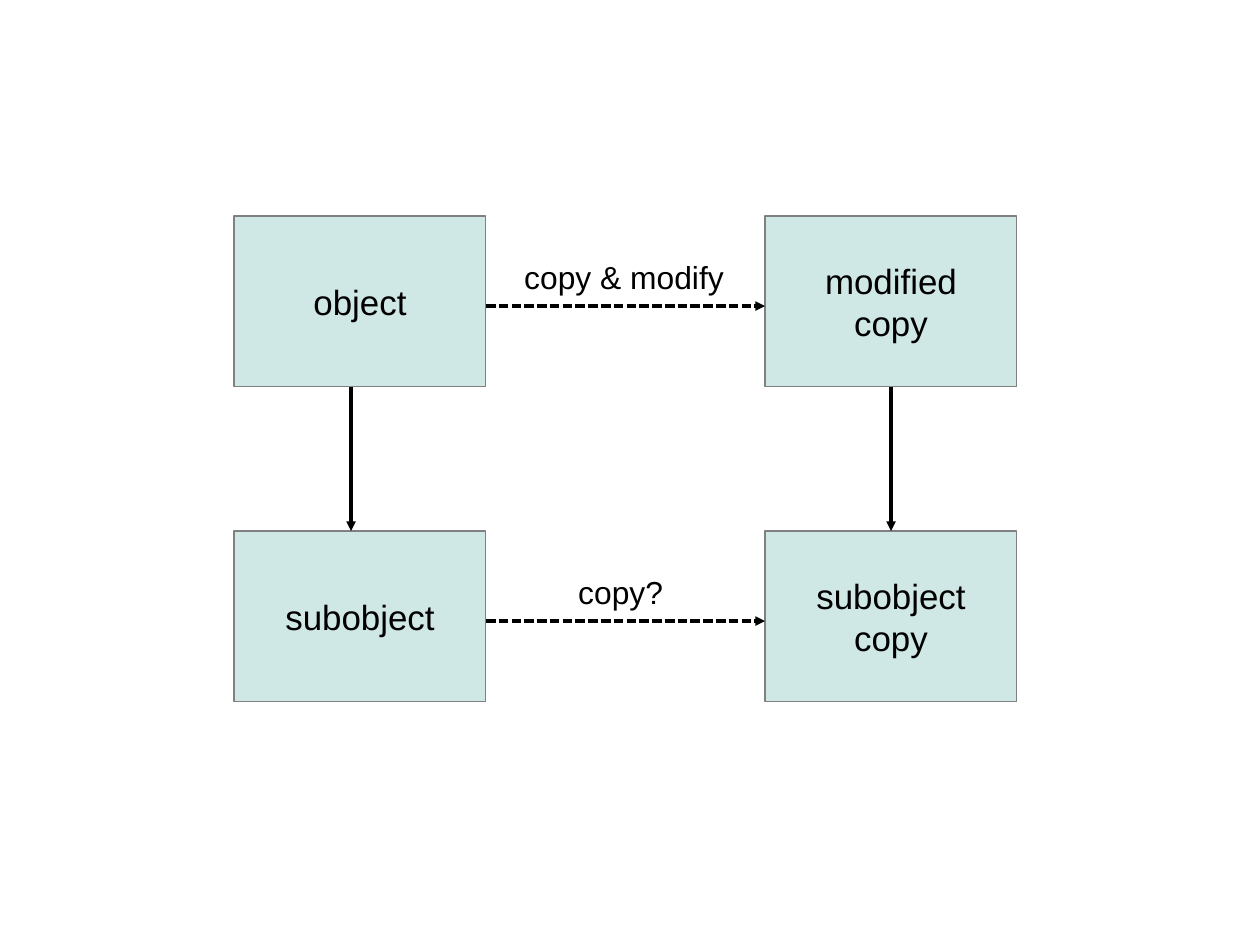
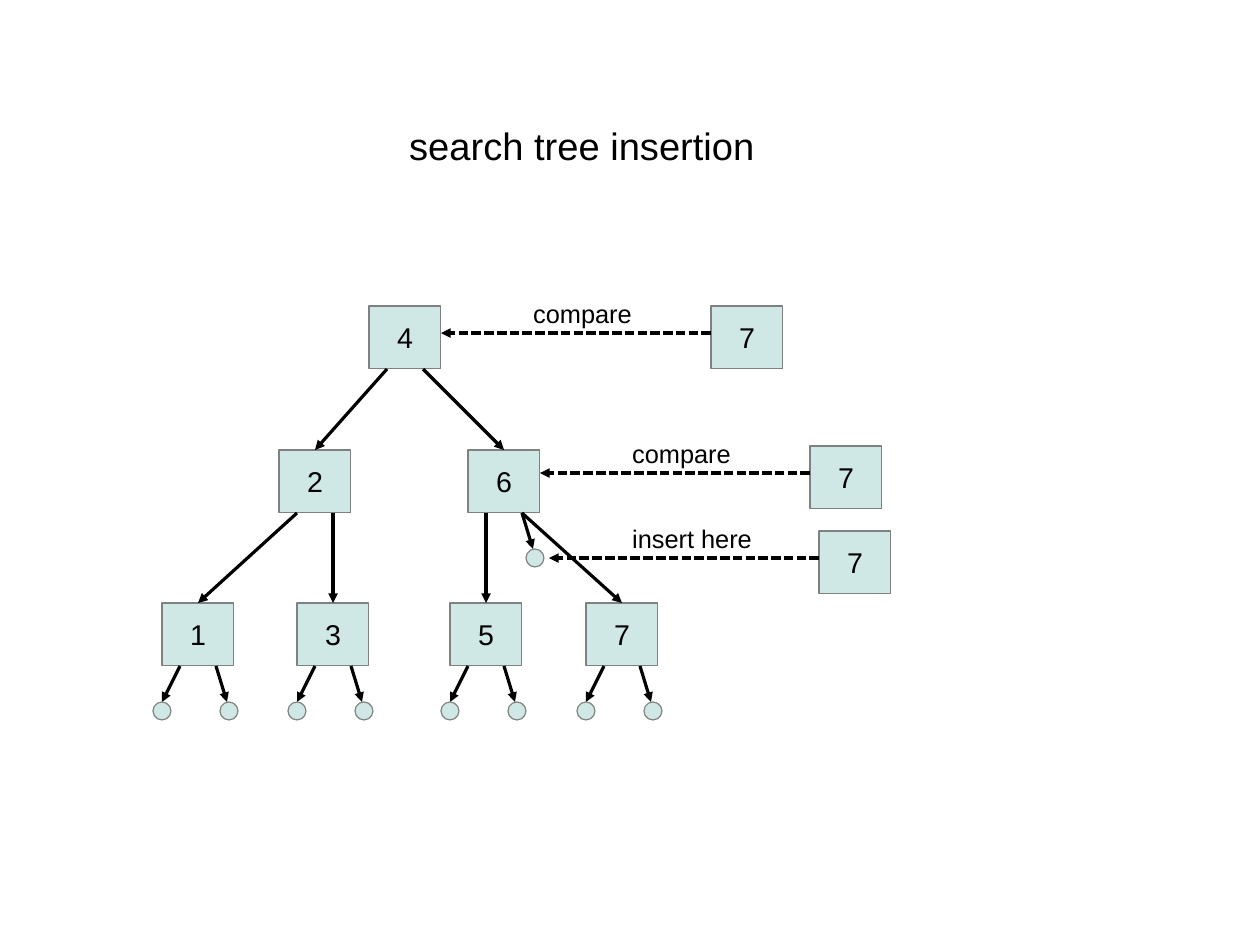
import dataclasses

import pptx
import pptx.dml.color
import pptx.enum.dml
import pptx.enum.shapes
import pptx.enum.text
import pptx.oxml
import pptx.oxml.ns
import pptx.util

PX = 8000  # EMU in one px
SHAPE = pptx.enum.shapes.MSO_SHAPE
ALIGN = pptx.enum.text.PP_ALIGN
ANCHOR = pptx.enum.text.MSO_ANCHOR


@dataclasses.dataclass(frozen=True)
class Theme:
    font: str = "Arial"
    fill: str = "CFE7E5"
    edge: str = "808080"
    ink: str = "000000"
    title: int = 24
    object: int = 22
    step: int = 20
    node: int = 18
    note: int = 16


THEME = Theme()
PAGE = (1260, 945)

# Copy diagram: each row is left box, right box, arrow label, label left, width
COPY = [
    ("object", "modified\ncopy", "copy & modify", 513, 225),
    ("subobject", "subobject\ncopy", "copy?", 567, 110),
]
COLS, ROWS = (234, 765), (216, 531)
BOX = (252, 171)
DROPS = (351, 891)  # x of the downward arrows

# Search tree: place of each node, then its left and right child
TITLE = ("search tree insertion", 398, 117, 514, 54)
NODES = {
    "4": (369, 306), "2": (279, 450), "6": (468, 450),
    "1": (162, 603), "3": (297, 603), "5": (450, 603), "7": (586, 603),
}
KIDS = {"4": "26", "2": "13", "6": "57"}
NODE = (72, 63)
PORTS = (18, 54)  # where edges leave a node, from its left side
TIPS = (0, 65)  # where leaf edges end
DOTS = (-9, 58)  # left side of the leaves
DOT, FALL = 18, 36
LEAVES = [(name, side) for name in "1357" for side in (0, 1)] + [("6", 1)]

# New value, its place, note, note left and width
STEPS = [
    ("7", 711, 306, "compare", 522, 124),
    ("7", 810, 446, "compare", 621, 124),
    ("7", 819, 531, "insert here", 621, 146),
]
REACH = 270


def px(*nums):
    return [round(num * PX) for num in nums]


def rgb(code):
    return pptx.dml.color.RGBColor.from_string(code)


def write(shape, text, size, align):
    frame = shape.text_frame
    frame.text = text
    for para in frame.paragraphs:
        para.alignment = align
        for run in para.runs:
            run.font.name = THEME.font
            run.font.size = pptx.util.Pt(size)
            run.font.color.rgb = rgb(THEME.ink)
    return frame


def block(slide, x, y, w, h, text="", size=THEME.node, kind=SHAPE.RECTANGLE):
    """Draw a tinted, outlined shape with centred text."""
    shape = slide.shapes.add_shape(kind, *px(x, y, w, h))
    shape.shadow.inherit = False
    shape.fill.solid()
    shape.fill.fore_color.rgb = rgb(THEME.fill)
    shape.line.color.rgb = rgb(THEME.edge)
    shape.line.width = 0
    if text:
        frame = write(shape, text, size, ALIGN.CENTER)
        frame.word_wrap = False
        frame.vertical_anchor = ANCHOR.MIDDLE


def label(slide, text, x, y, w, h, size):
    shape = slide.shapes.add_textbox(*px(x, y, w, h))
    write(shape, text, size, ALIGN.LEFT).word_wrap = True


def arrow(slide, x1, y1, x2, y2, dash=False):
    link = slide.shapes.add_connector(
        pptx.enum.shapes.MSO_CONNECTOR.STRAIGHT, *px(x1, y1, x2, y2))
    link.line.color.rgb = rgb(THEME.ink)
    link.line.width = 0
    if dash:
        link.line.dash_style = pptx.enum.dml.MSO_LINE.SQUARE_DOT
    make, name = pptx.oxml.xmlchemy.OxmlElement, pptx.oxml.ns.qn
    props = link._element.spPr
    head = make("a:tailEnd")
    head.set("type", "triangle")
    props.find(name("a:ln")).append(head)
    props.append(make("a:effectLst"))


def draw_copy(slide):
    wide, high = BOX
    for y, (left, right, text, x, w) in zip(ROWS, COPY):
        for col, name in zip(COLS, (left, right)):
            block(slide, col, y, wide, high, name, THEME.object)
        mid = y + 90
        arrow(slide, COLS[0] + wide, mid, COLS[1], mid, dash=True)
        label(slide, text, x, mid - 54, w, 53, THEME.step)
    for x in DROPS:
        arrow(slide, x, ROWS[0] + high, x, ROWS[1])


def draw_tree(slide):
    wide, high = NODE
    label(slide, *TITLE, THEME.title)
    for name, (x, y) in NODES.items():
        block(slide, x, y, wide, high, name)
    for name, kids in KIDS.items():
        x, y = NODES[name]
        for port, kid in zip(PORTS, kids):
            left, top = NODES[kid]
            arrow(slide, x + port, y + high, left + wide / 2, top)
    for name, side in LEAVES:
        x, y = NODES[name]
        base = y + high
        arrow(slide, x + PORTS[side], base, x + TIPS[side], base + FALL)
        block(slide, x + DOTS[side], base + FALL, DOT, DOT, kind=SHAPE.OVAL)
    for name, x, y, note, left, w in STEPS:
        mid = y + 27
        block(slide, x, y, wide, high, name)
        arrow(slide, x, mid, x - REACH, mid, dash=True)
        label(slide, note, left, mid - 41, w, 40, THEME.note)


def main():
    deck = pptx.Presentation()
    deck.slide_width, deck.slide_height = px(*PAGE)
    for draw in (draw_copy, draw_tree):
        draw(deck.slides.add_slide(deck.slide_layouts[6]))
    deck.save("out.pptx")


if __name__ == "__main__":
    main()
